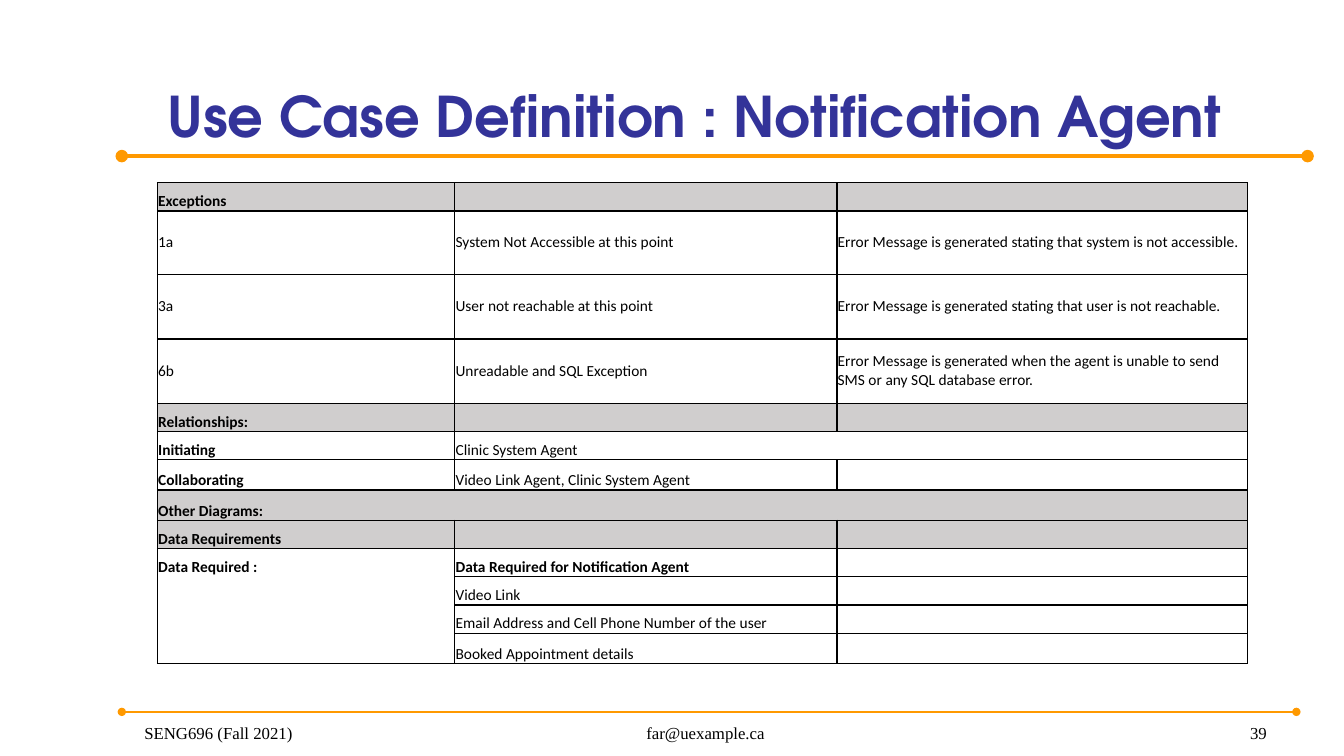
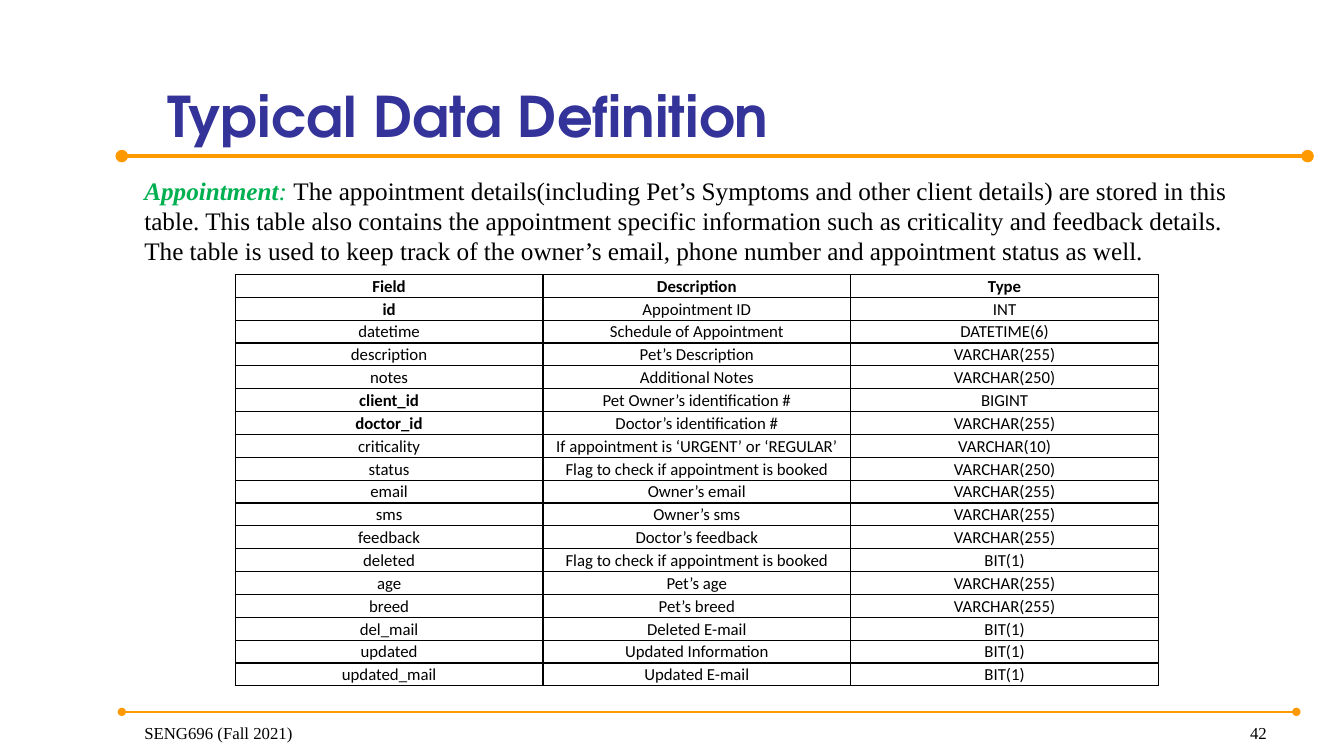
from dataclasses import dataclass
from itertools import product

from lxml.etree import SubElement
from pptx import Presentation
from pptx.dml.color import RGBColor as RGB
from pptx.enum.shapes import MSO_CONNECTOR as CONNECTOR
from pptx.enum.text import MSO_ANCHOR as ANCHOR, PP_ALIGN as ALIGN
from pptx.oxml.ns import qn
from pptx.util import Pt

PX = 6350  # EMU per px, 144 px to the inch


@dataclass(frozen=True)
class Theme:
    ink: RGB = RGB(0x00, 0x00, 0x00)
    paper: RGB = RGB(0xFF, 0xFF, 0xFF)
    heading: RGB = RGB(0x33, 0x33, 0x99)
    rule: RGB = RGB(0xFF, 0x99, 0x00)
    term: RGB = RGB(0x00, 0xB0, 0x50)
    section: RGB = RGB(0xD0, 0xCE, 0xCE)
    title_font: str = "TeX Gyre Adventor"
    body_font: str = "Times New Roman"
    table_font: str = "Calibri"
    title_size: int = 40
    body_size: int = 18
    footer_size: int = 12


class Deck:
    def __init__(self, theme):
        self.theme = theme
        self.prs = Presentation()
        self.prs.slide_width, self.prs.slide_height = 1920 * PX, 1080 * PX
        self.slide = None

    def new_slide(self, title, number, contact=""):
        """Start a slide with its title, rules and footer."""
        t = self.theme
        self.slide = self.prs.slides.add_slide(self.prs.slide_layouts[6])
        self.rule(174, 1868, 223, 3)
        self.rule(174, 1852, 1017, 1.5)
        heading = dict(font=t.title_font, size=t.title_size, color=t.heading, bold=True)
        self.text(225, 40, 1655, 180, [(title, heading)], anchor=ANCHOR.BOTTOM)
        footers = [
            (192, 400, "SENG696 (Fall 2021)", ALIGN.LEFT),
            (704, 608, contact, ALIGN.CENTER),
            (1424, 400, number, ALIGN.RIGHT),
        ]
        for left, width, words, align in footers:
            if words:
                self.text(left, 1005, width, 63, [(words, dict(size=t.footer_size))],
                          align, ANCHOR.BOTTOM)

    def rule(self, start, end, y, weight):
        """Horizontal line with a dot at each end."""
        line = self.slide.shapes.add_connector(
            CONNECTOR.STRAIGHT, start * PX, y * PX, end * PX, y * PX)
        line.line.color.rgb = self.theme.rule
        line.line.width = Pt(weight)
        outline = line.line._get_or_add_ln()
        for tag in ("a:headEnd", "a:tailEnd"):
            SubElement(outline, qn(tag), type="oval")
        SubElement(line._element.spPr, qn("a:effectLst"))

    def style(self, run, font=None, size=None, color=None, bold=False, italic=False):
        run.font.name = font or self.theme.body_font
        run.font.size = Pt(size or self.theme.body_size)
        run.font.color.rgb = color or self.theme.ink
        run.font.bold, run.font.italic = bold, italic

    def text(self, left, top, width, height, parts, align=ALIGN.LEFT, anchor=ANCHOR.TOP):
        """Text box of one paragraph; parts are (words, style) pairs."""
        box = self.slide.shapes.add_textbox(left * PX, top * PX, width * PX, height * PX)
        frame = box.text_frame
        frame.word_wrap = True
        frame.vertical_anchor = anchor
        paragraph = frame.paragraphs[0]
        paragraph.alignment = align
        for words, look in parts:
            run = paragraph.add_run()
            run.text = words
            self.style(run, **look)

    def borders(self, cell, open_sides):
        props = cell._tc.get_or_add_tcPr()
        for side in "LRTB":
            edge = SubElement(props, qn(f"a:ln{side}"), w=str(Pt(1)))
            if side in open_sides:
                SubElement(edge, qn("a:noFill"))
            else:
                fill = SubElement(edge, qn("a:solidFill"))
                SubElement(fill, qn("a:srgbClr"), val=str(self.theme.ink))

    def table(self, left, top, width, height, rows, col_shares, row_shares, size,
              inset, align=ALIGN.LEFT, spacing=None, after=0, middle_rows=(),
              section_rows=(), spans=(), open_sides=None):
        """Ruled table; a leading * makes a cell bold."""
        table = self.slide.shapes.add_table(
            len(rows), len(col_shares), left * PX, top * PX, width * PX, height * PX).table
        table.first_row = table.horz_banding = False
        for column, share in zip(table.columns, col_shares):
            column.width = int(width * PX * share / sum(col_shares))
        for row, share in zip(table.rows, row_shares):
            row.height = int(height * PX * share / sum(row_shares))
        for r, c in product(range(len(rows)), range(len(col_shares))):
            cell, words = table.cell(r, c), rows[r][c]
            self.borders(cell, (open_sides or {}).get((r, c), ""))
            cell.fill.solid()
            cell.fill.fore_color.rgb = (
                self.theme.section if r in section_rows else self.theme.paper)
            cell.margin_left = cell.margin_right = inset * PX
            cell.margin_top = cell.margin_bottom = 0
            cell.vertical_anchor = ANCHOR.MIDDLE if r in middle_rows else ANCHOR.BOTTOM
            paragraph = cell.text_frame.paragraphs[0]
            paragraph.alignment = align
            paragraph.line_spacing, paragraph.space_after = spacing, Pt(after)
            if words:
                paragraph.text = words.lstrip("*")
                self.style(paragraph.runs[0], self.theme.table_font, size,
                           bold=words.startswith("*"))
            else:  # keep empty rows as low as the others
                paragraph._p.get_or_add_endParaRPr().set("sz", str(size * 100))
        for r, first, last in spans:
            table.cell(r, first).merge(table.cell(r, last))


def use_case(deck):
    deck.new_slide("Use Case Definition : Notification Agent", "39", "far@uexample.ca")
    rows = [
        ("*Exceptions", "", ""),
        ("1a", "System Not Accessible at this point",
         "Error Message is generated stating that system is not accessible."),
        ("3a", "User not reachable at this point",
         "Error Message is generated stating that user is not reachable."),
        ("6b", "Unreadable and SQL Exception",
         "Error Message is generated when the agent is unable to send SMS "
         "or any SQL database error."),
        ("*Relationships:", "", ""),
        ("*Initiating", "Clinic System Agent", ""),
        ("*Collaborating", "Video Link Agent, Clinic System Agent", ""),
        ("*Other Diagrams:", "", ""),
        ("*Data Requirements", "", ""),
        ("*Data Required :", "*Data Required for Notification Agent", ""),
        ("", "Video Link", ""),
        ("", "Email Address and Cell Phone Number of the user", ""),
        ("", "Booked Appointment details", ""),
    ]
    deck.table(
        225, 261, 1557, 687, rows, [295, 379, 407],
        [28, 63, 64, 64, 28, 28, 30, 30, 28, 28, 28, 28, 30], size=11, inset=1,
        middle_rows=(1, 2, 3), section_rows=(0, 4, 7, 8),
        spans=[(5, 1, 2), (7, 0, 2)],
        open_sides={(9, 0): "B", (10, 0): "TB", (11, 0): "TB", (12, 0): "T"})


def data_definition(deck):
    deck.new_slide("Typical Data Definition", "42")
    term = dict(color=deck.theme.term, italic=True)
    deck.text(192, 243, 1587, 145, [
        ("Appointment", dict(term, bold=True)),
        (": ", term),
        ("The appointment details(including Pet’s Symptoms and other client details) "
         "are stored in this table. This table also contains the appointment specific "
         "information such as criticality and feedback details. The table is used to "
         "keep track of the owner’s email, phone number and appointment status as well.",
         {}),
    ])
    rows = [
        ("*Field", "*Description", "*Type"),
        ("*id", "Appointment ID", "INT"),
        ("datetime", "Schedule of Appointment", "DATETIME(6)"),
        ("description", "Pet’s Description", "VARCHAR(255)"),
        ("notes", "Additional Notes", "VARCHAR(250)"),
        ("*client_id", "Pet Owner’s identification #", "BIGINT"),
        ("*doctor_id", "Doctor’s identification #", "VARCHAR(255)"),
        ("criticality", "If appointment is ‘URGENT’ or ‘REGULAR’", "VARCHAR(10)"),
        ("status", "Flag to check if appointment is booked", "VARCHAR(250)"),
        ("email", "Owner’s email", "VARCHAR(255)"),
        ("sms", "Owner’s sms", "VARCHAR(255)"),
        ("feedback", "Doctor’s feedback", "VARCHAR(255)"),
        ("deleted", "Flag to check if appointment is booked", "BIT(1)"),
        ("age", "Pet’s age", "VARCHAR(255)"),
        ("breed", "Pet’s breed", "VARCHAR(255)"),
        ("del_mail", "Deleted E-mail", "BIT(1)"),
        ("updated", "Updated Information", "BIT(1)"),
        ("updated_mail", "Updated E-mail", "BIT(1)"),
    ]
    deck.table(336, 392, 1319, 588, rows, [1] * 3, [1] * len(rows), size=12, inset=10,
               align=ALIGN.CENTER, spacing=1.07, after=8, middle_rows=range(len(rows)))


def main():
    deck = Deck(Theme())
    use_case(deck)
    data_definition(deck)
    deck.prs.save("out.pptx")


if __name__ == "__main__":
    main()
